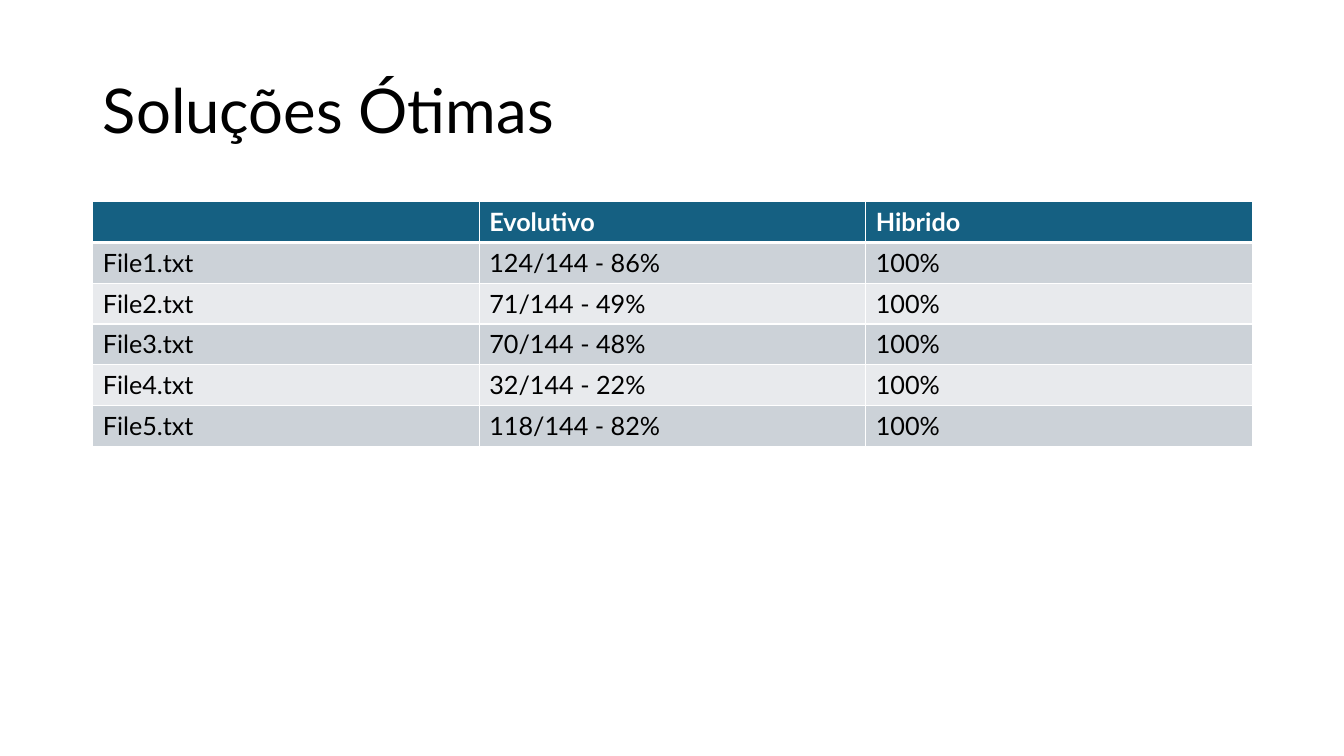
from dataclasses import dataclass

from lxml import etree
from pptx import Presentation
from pptx import util as u
from pptx.dml.color import RGBColor
from pptx.enum import text
from pptx.oxml import ns


@dataclass(frozen=True)
class Theme:
    font: str = "Lato"
    ink: str = "000000"
    paper: str = "FFFFFF"
    head: str = "156082"
    bands: tuple = ("CCD2D8", "E8EAED")
    title: int = 44
    body: int = 18
    thin: int = 1
    thick: int = 3


THEME = Theme()
WIDE, HIGH = 13.33, 7.5
LEFT, SPAN = 0.92, 11.5
ROW = 0.405

HEADS = ("", "Evolutivo", "Hibrido")
SCORES = ("124/144 - 86%", "71/144 - 49%", "70/144 - 48%",
          "32/144 - 22%", "118/144 - 82%")
ROWS = [HEADS] + [(f"File{n}.txt", score, "100%")
                  for n, score in enumerate(SCORES, 1)]


def write(frame, words, size=THEME.body, color=THEME.ink, bold=False, lead=1.0):
    para = frame.paragraphs[0]
    para.alignment = text.PP_ALIGN.LEFT
    para.line_spacing = lead
    para.font.size = u.Pt(size)
    if not words:
        return
    run = para.add_run()
    run.text = words
    run.font.name = THEME.font
    run.font.size = u.Pt(size)
    run.font.bold = bold
    run.font.color.rgb = RGBColor.from_string(color)


def edge(cell, side, width):
    props = cell._tc.get_or_add_tcPr()
    line = etree.SubElement(props, ns.qn(f"a:ln{side}"), w=str(u.Pt(width)))
    fill = etree.SubElement(line, ns.qn("a:solidFill"))
    etree.SubElement(fill, ns.qn("a:srgbClr"), val=THEME.paper)


def heading(slide, box, words):
    title = slide.shapes.title
    title.left, title.top, title.width, title.height = map(u.Inches, box)
    frame = title.text_frame
    frame.word_wrap = True
    frame.auto_size = text.MSO_AUTO_SIZE.NONE
    frame.vertical_anchor = text.MSO_ANCHOR.MIDDLE
    write(frame, words, size=THEME.title, lead=0.9)


def results(slide, box, rows):
    shape = slide.shapes.add_table(len(rows), len(rows[0]), *map(u.Inches, box))
    table = shape.table
    for r, row in enumerate(rows):
        top = r == 0
        shade = THEME.head if top else THEME.bands[(r - 1) % 2]
        # The rule under the header is shared by the first two rows
        rules = {"L": THEME.thin, "R": THEME.thin,
                 "T": THEME.thick if r == 1 else THEME.thin,
                 "B": THEME.thick if top else THEME.thin}
        for c, words in enumerate(row):
            cell = table.cell(r, c)
            for side, width in rules.items():
                edge(cell, side, width)
            cell.fill.solid()
            cell.fill.fore_color.rgb = RGBColor.from_string(shade)
            write(cell.text_frame, words, bold=top,
                  color=THEME.paper if top else THEME.ink)


def main():
    deck = Presentation()
    deck.slide_width, deck.slide_height = u.Inches(WIDE), u.Inches(HIGH)
    slide = deck.slides.add_slide(deck.slide_layouts.get_by_name("Title Only"))
    # Title band
    heading(slide, (LEFT, 0.4, SPAN, 1.45), "Soluções Ótimas")
    # Results table
    results(slide, (LEFT, 2, SPAN, ROW * len(ROWS)), ROWS)
    deck.save("out.pptx")


if __name__ == "__main__":
    main()
